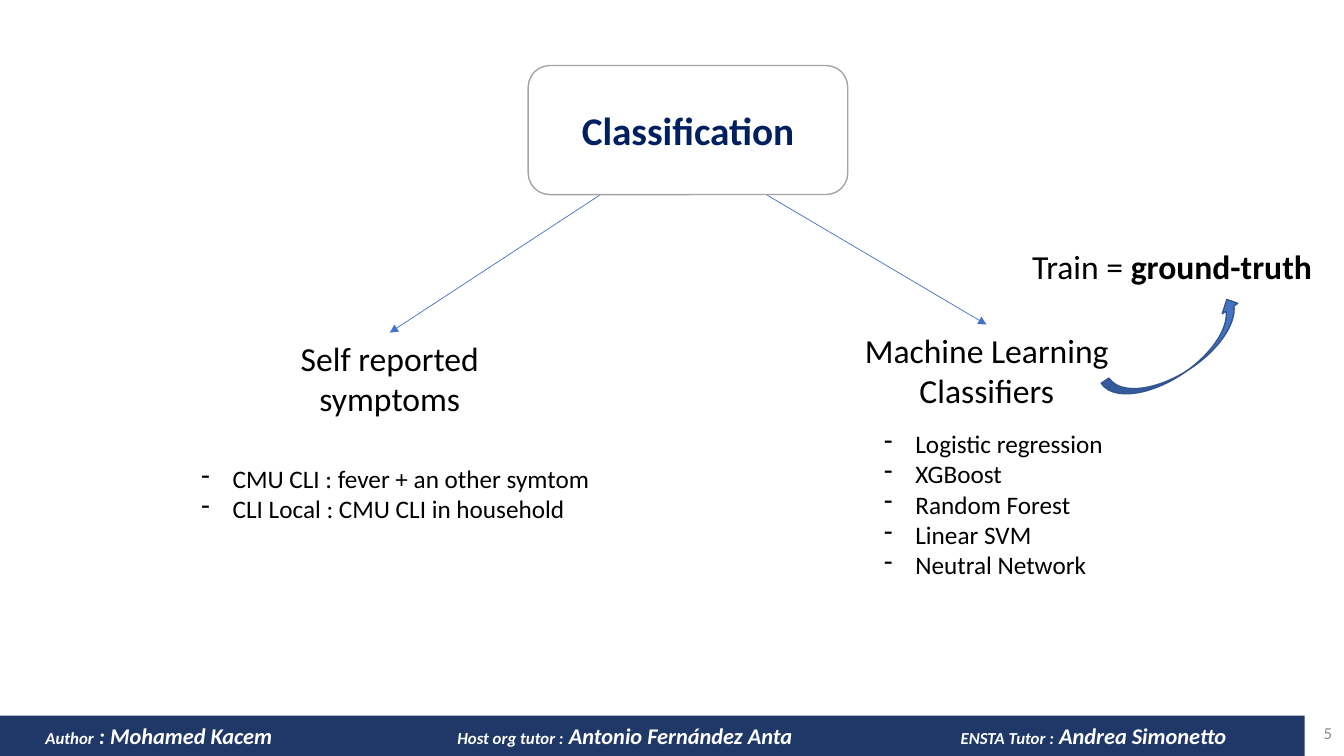
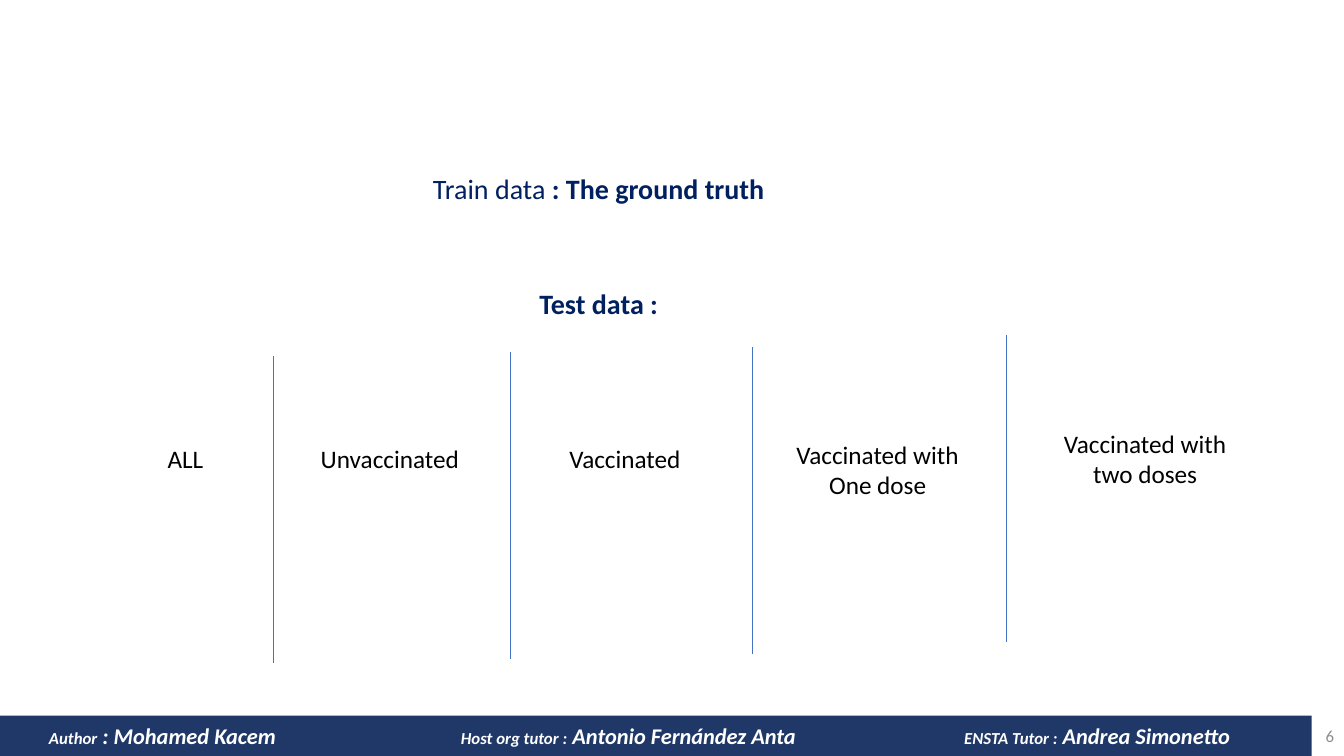
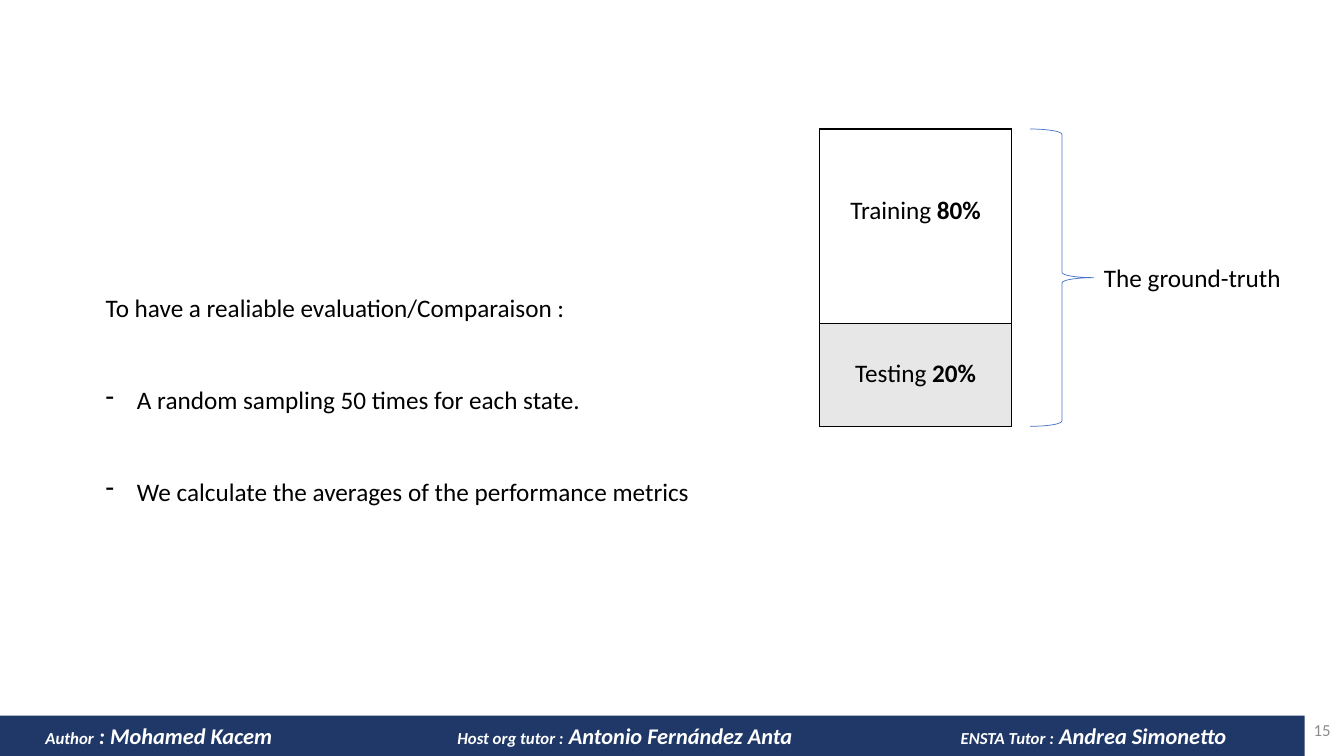
from dataclasses import dataclass

from lxml.etree import SubElement
from pptx import Presentation
from pptx.dml.color import RGBColor
from pptx.enum.shapes import MSO_CONNECTOR, MSO_SHAPE
from pptx.enum.text import MSO_ANCHOR, PP_ALIGN
from pptx.oxml.ns import qn
from pptx.util import Inches, Pt


@dataclass(frozen=True)
class Theme:
    font: str = "Calibri"
    navy: RGBColor = RGBColor(0x00, 0x20, 0x60)
    band: RGBColor = RGBColor(0x1F, 0x38, 0x68)
    blue: RGBColor = RGBColor(0x44, 0x72, 0xC4)
    dark_blue: RGBColor = RGBColor(0x32, 0x54, 0x91)
    black: RGBColor = RGBColor(0, 0, 0)
    white: RGBColor = RGBColor(255, 255, 255)
    gray: RGBColor = RGBColor(0xA5, 0xA5, 0xA5)
    number_gray: RGBColor = RGBColor(0x8C, 0x8C, 0x8C)
    cell_gray: RGBColor = RGBColor(0xE7, 0xE7, 0xE7)
    title: Pt = Pt(28)
    heading: Pt = Pt(24)
    subheading: Pt = Pt(20)
    body: Pt = Pt(18)
    name: Pt = Pt(16)
    small: Pt = Pt(12)
    thin: Pt = Pt(0.5)
    outline: Pt = Pt(1)
    indent: Inches = Inches(0.31)


theme = Theme()
presentation = Presentation()
presentation.slide_width = Inches(13.33)
presentation.slide_height = Inches(7.5)


def place(left, top, width=0, height=0):
    """Turn percentages of the slide's width and height into lengths."""
    column, row = presentation.slide_width / 100, presentation.slide_height / 100
    return round(left * column), round(top * row), round(width * column), round(height * row)


def write(frame, lines, size=theme.body, color=theme.black, align=PP_ALIGN.LEFT,
          anchor=MSO_ANCHOR.TOP, dash_from=None, gap=0):
    """Fill a text frame; what follows "|" in a line is bold, lines from dash_from on are a list."""
    frame.word_wrap = True
    frame.vertical_anchor = anchor
    for index, line in enumerate(lines):
        paragraph = frame.add_paragraph() if index else frame.paragraphs[0]
        paragraph.alignment = align
        if index:
            paragraph.space_before = Pt(gap)
        if dash_from is not None and index >= dash_from:
            properties = paragraph._p.get_or_add_pPr()
            properties.set("marL", str(theme.indent))
            properties.set("indent", str(-theme.indent))
            SubElement(properties, qn("a:buChar"), char="-")
        font = paragraph.font
        font.name, font.size, font.color.rgb = theme.font, size, color
        plain, _, bold = line.partition("|")
        for text, is_bold in ((plain, False), (bold, True)):
            if text:
                run = paragraph.add_run()
                run.text = text
                run.font.bold = is_bold


# Slides with footer band and number: number, number's left and top, band width
footers = [("5", 77.35, 94.27, 97.07), ("6", 77.5, 94.67, 97.6), ("15", 77.25, 93.87, 97.07)]
credits = [("Author", " : Mohamed Kacem"), ("Host org tutor :", " Antonio Fernández Anta"),
           ("ENSTA Tutor :", " Andrea Simonetto")]
slides = []
for number, left, top, band_width in footers:
    slide = presentation.slides.add_slide(presentation.slide_layouts[6])
    slides.append(slide)
    number_box = slide.shapes.add_textbox(*place(left, top, 22.5, 5.33))
    write(number_box.text_frame, [number], theme.small, theme.number_gray,
          PP_ALIGN.RIGHT, MSO_ANCHOR.MIDDLE)

    band = slide.shapes.add_shape(MSO_SHAPE.RECTANGLE, *place(0, 94.67, band_width, 5.33))
    band.shadow.inherit = False
    band.fill.solid()
    band.fill.fore_color.rgb = theme.band
    band.line.fill.background()
    band.text_frame.vertical_anchor = MSO_ANCHOR.MIDDLE
    band.text_frame.margin_left = place(3.38 + (band_width - 97.07) / 2, 0)[0]
    paragraph = band.text_frame.paragraphs[0]
    paragraph.alignment = PP_ALIGN.LEFT
    tabs = SubElement(paragraph._p.get_or_add_pPr(), qn("a:tabLst"))
    for stop in (30.65, 68.1):
        SubElement(tabs, qn("a:tab"), pos=str(place(stop, 0)[0]), algn="l")
    font = paragraph.font
    font.name, font.bold, font.italic = theme.font, True, True
    font.color.rgb = theme.white
    for index, (role, person) in enumerate(credits):
        for text, size in (("\t" * (index > 0) + role, theme.small), (person, theme.name)):
            run = paragraph.add_run()
            run.text = text
            run.font.size = size

methods, data, evaluation = slides

# Lines: slide, start, end, arrowhead
lines = [(methods, (44.7, 25.73), (29, 44), True), (methods, (57, 25.73), (73.4, 42.93), True)]
for left, top in ((20.33, 47.07), (37.95, 46.53), (55.95, 45.87), (74.85, 44.27)):
    lines.append((data, (left, top), (left, top + 40.67), False))
for slide, start, end, has_arrow in lines:
    connector = slide.shapes.add_connector(
        MSO_CONNECTOR.STRAIGHT, *place(*start)[:2], *place(*end)[:2])
    connector.line.color.rgb = theme.blue
    connector.line.width = theme.thin
    properties = connector._element.spPr
    if has_arrow:
        SubElement(properties.find(qn("a:ln")), qn("a:tailEnd"), type="triangle")
    SubElement(properties, qn("a:effectLst"))

# Preset shapes: slide, preset, box, fill, line colour, line width, rotation, text
presets = [
    (methods, MSO_SHAPE.ROUNDED_RECTANGLE, (39.3, 8.67, 23.78, 17.07),
     theme.white, theme.gray, theme.outline, 0, "|Classification"),
    (methods, MSO_SHAPE.CURVED_UP_ARROW, (81.7, 44.4, 11.93, 4.93),
     theme.blue, theme.dark_blue, theme.outline, 326.3, ""),
    (evaluation, MSO_SHAPE.RIGHT_BRACE, (76.65, 17.07, 4.73, 39.33),
     None, theme.blue, theme.thin, 0, ""),
]
for slide, preset, box, fill, line_color, line_width, rotation, text in presets:
    shape = slide.shapes.add_shape(preset, *place(*box))
    shape.shadow.inherit = False
    shape.rotation = rotation
    if fill is None:
        shape.fill.background()
    else:
        shape.fill.solid()
        shape.fill.fore_color.rgb = fill
    shape.line.color.rgb = line_color
    shape.line.width = line_width
    if text:
        write(shape.text_frame, [text], theme.title, theme.navy,
              PP_ALIGN.CENTER, MSO_ANCHOR.MIDDLE)

# Text boxes: slide, box, lines, style
center = {"align": PP_ALIGN.CENTER}
heading = {"size": theme.heading}
subheading = {"size": theme.subheading, "color": theme.navy, **center}
texts = [
    (methods, (21.5, 44, 15, 12.13), ["Self reported", "symptoms"], heading | center),
    (methods, (63.1, 42.93, 20.63, 12.13), ["Machine Learning Classifiers"], heading | center),
    (methods, (76.05, 31.87, 25, 6.67), ["Train = |ground-truth"], heading),
    (methods, (14.25, 60.6, 33.45, 9.47),
     ["CMU CLI : fever + an other symtom", "CLI Local : CMU CLI in household"], {"dash_from": 0}),
    (methods, (65.05, 56, 18.83, 21.6),
     ["Logistic regression", "XGBoost", "Random Forest", "Linear SVM", "Neutral Network"],
     {"dash_from": 0}),
    (data, (0, 22, 89.1, 5.87), ["Train data |: The ground truth"], subheading),
    (data, (0, 37.2, 89.1, 9.87), ["|Test data :"], subheading),
    (evaluation, (7.13, 38, 80, 37.73),
     ["To have a realiable evaluation/Comparaison :",
      "A random sampling 50 times for each state.",
      "We calculate the averages of the performance metrics"], {"dash_from": 1, "gap": 44}),
    (evaluation, (81.4, 34, 16, 5.33), ["The ground-truth"], {}),
]
groups = [
    (13.8, 58, ["ALL"]),
    (29, 58, ["Unvaccinated"]),
    (46.5, 58, ["Vaccinated"]),
    (65.3, 57.47, ["Vaccinated with", "One dose"]),
    (85.2, 56, ["Vaccinated with", "two doses"]),
]
label_width = 15
for middle, top, label in groups:
    texts.append((data, (middle - label_width / 2, top, label_width, 5.33 * len(label)),
                  label, center))
for slide, box, content, style in texts:
    write(slide.shapes.add_textbox(*place(*box)).text_frame, content, **style)

# Split of the ground truth: text, row height, space above the text, fill
split = [("Training| 80%", 25.67, 8.8, theme.white), ("Testing| 20%", 13.67, 4.73, theme.cell_gray)]
table = evaluation.shapes.add_table(len(split), 1, *place(61, 17.07, 14.25, 39.33)).table
table.first_row = table.horz_banding = False
for index, (text, height, space_above, fill) in enumerate(split):
    table.rows[index].height = place(0, 0, 0, height)[3]
    cell = table.cell(index, 0)
    cell.margin_top = place(0, space_above)[1]
    write(cell.text_frame, [text], **center)
    properties = cell._tc.get_or_add_tcPr()
    for side in ("a:lnL", "a:lnR", "a:lnT", "a:lnB"):
        border = SubElement(properties, qn(side), w=str(theme.outline))
        border_fill = SubElement(border, qn("a:solidFill"))
        SubElement(border_fill, qn("a:srgbClr"), val=str(theme.black))
    cell.fill.solid()
    cell.fill.fore_color.rgb = fill

presentation.save("out.pptx")
